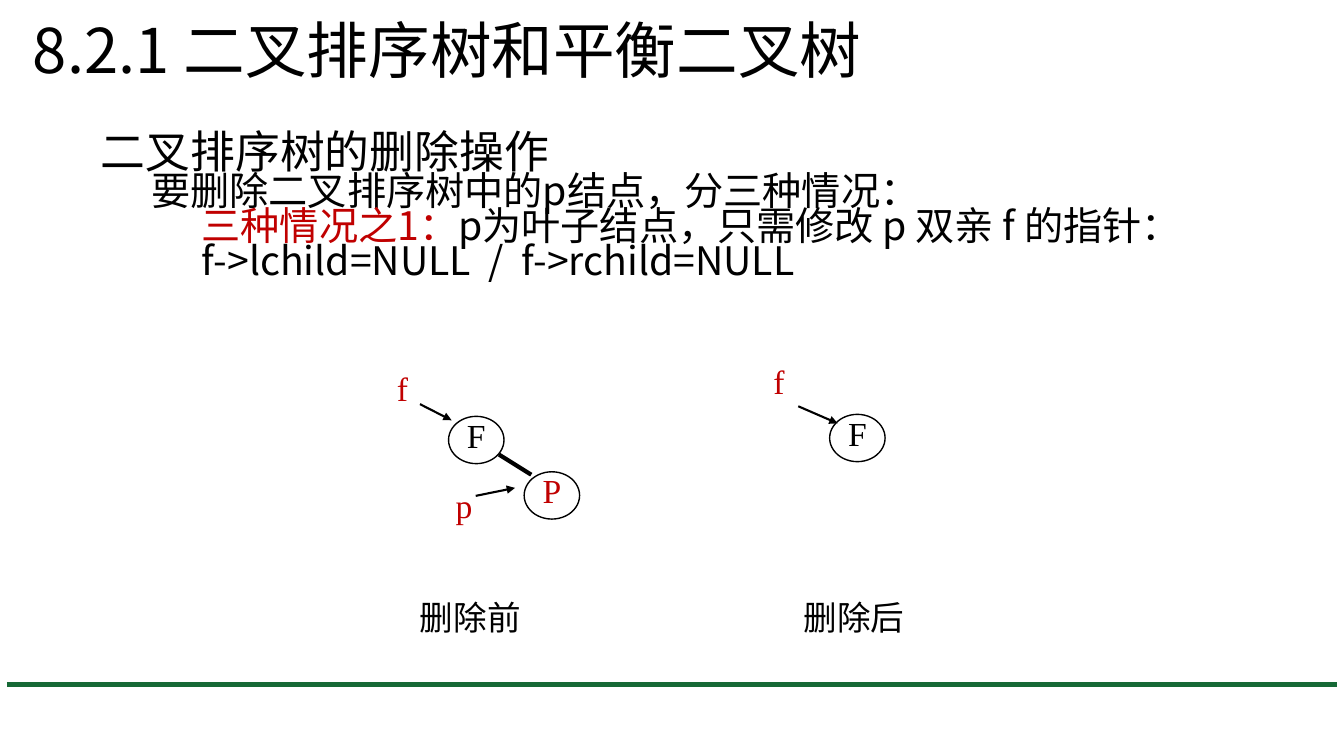
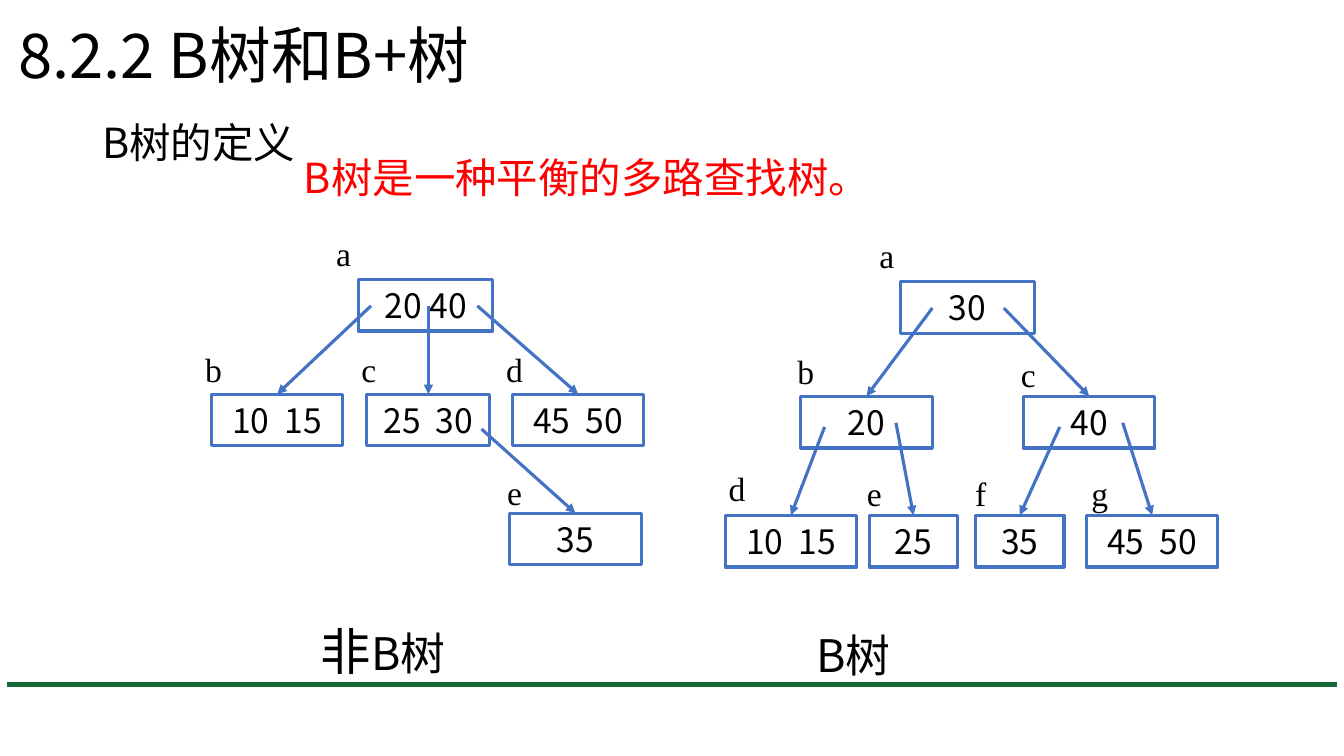
from lxml.etree import SubElement
from pptx import Presentation
from pptx.dml.color import RGBColor
from pptx.enum.shapes import MSO_CONNECTOR, MSO_SHAPE
from pptx.enum.text import MSO_ANCHOR, PP_ALIGN
from pptx.oxml.ns import qn
from pptx.util import Pt

SANS, SERIF = "Noto Sans CJK SC", "Times New Roman"
BLACK, CRIMSON, RED = "000000", "C00000", "FF0000"
BLUE, GREEN = "4472C4", "166936"


def color(value):
    return RGBColor.from_string(value)


def apply_format(target, values):
    for name, value in values.items():
        setattr(target, name, value)


class Deck:
    """Holds the shared style and the current slide."""

    def __init__(self):
        self.presentation = Presentation()
        apply_format(self.presentation, {"slide_width": Pt(960), "slide_height": Pt(540)})
        self.slide = None

    def new_slide(self, title, left, top):
        self.slide = self.presentation.slides.add_slide(self.presentation.slide_layouts[6])
        self.line((5, 489), (955, 489), GREEN, 3.75)
        self.text([[(title, 44, BLACK)]], left, top, 828, 64,
                  spacing=0.9, anchor=MSO_ANCHOR.MIDDLE)

    def fill_text(self, shape, paragraphs, font=SANS, align=PP_ALIGN.LEFT, spacing=1.0,
                  indents=(), **frame_format):
        """Each paragraph is a list of (text, size, color) runs."""
        frame = shape.text_frame
        apply_format(frame, {"word_wrap": True, **frame_format})
        for index, runs in enumerate(paragraphs):
            paragraph = frame.add_paragraph() if index else frame.paragraphs[0]
            apply_format(paragraph, {"alignment": align, "line_spacing": spacing})
            if indents:
                paragraph._p.get_or_add_pPr().set("marL", str(Pt(indents[index])))
            for text, size, text_color in runs:
                run = paragraph.add_run()
                run.text = text
                apply_format(run.font, {"name": font, "size": Pt(size)})
                run.font.color.rgb = color(text_color)
                SubElement(run._r.get_or_add_rPr(), qn("a:ea")).set("typeface", SANS)

    def text(self, paragraphs, left, top, width, height, anchor=MSO_ANCHOR.TOP, **style):
        box = self.slide.shapes.add_textbox(Pt(left), Pt(top), Pt(width), Pt(height))
        self.fill_text(box, paragraphs, vertical_anchor=anchor, **style)

    def label(self, text, left, top, width=31, text_color=BLACK):
        self.text([[(text, 24, text_color)]], left, top, width, 36,
                  font=SERIF, align=PP_ALIGN.CENTER)

    def outline(self, kind, left, top, width, height, line_color, weight):
        shape = self.slide.shapes.add_shape(kind, Pt(left), Pt(top), Pt(width), Pt(height))
        shape.shadow.inherit = False
        shape.fill.background()
        shape.line.color.rgb = color(line_color)
        shape.line.width = Pt(weight)
        return shape

    def circle(self, text, left, top, text_color=BLACK):
        shape = self.outline(MSO_SHAPE.OVAL, left, top, 39.6, 33.8, BLACK, 1)
        self.fill_text(shape, [[(text, 24, text_color)]], SERIF, PP_ALIGN.CENTER,
                       word_wrap=False, vertical_anchor=MSO_ANCHOR.MIDDLE,
                       margin_left=0, margin_right=0, margin_top=0, margin_bottom=Pt(7))

    def key_box(self, keys, left, top, width):
        shape = self.outline(MSO_SHAPE.RECTANGLE, left, top, width, 37, BLUE, 2.25)
        self.fill_text(shape, [[(keys, 24, BLACK)]], align=PP_ALIGN.CENTER,
                       vertical_anchor=MSO_ANCHOR.MIDDLE, margin_top=0, margin_bottom=0)
        return shape

    def line(self, start, end, line_color=BLACK, weight=1.5, arrow=False, target=None):
        connector = self.slide.shapes.add_connector(
            MSO_CONNECTOR.STRAIGHT, *(Pt(value) for value in (*start, *end)))
        if target is not None:
            connector.end_connect(target, 0)
        connector.line.color.rgb = color(line_color)
        connector.line.width = Pt(weight)
        properties = connector._element.spPr
        if arrow:
            SubElement(properties.find(qn("a:ln")), qn("a:tailEnd")).set("type", "triangle")
        SubElement(properties, qn("a:effectLst"))

    def tree(self, top, nodes, links):
        """Draw named key boxes in rows, then arrows from parents to children."""
        row_offsets = (0, 82, 167)
        boxes = {}
        for name, keys, row, left, width, label_x, label_y in nodes:
            box_top = top + row_offsets[row]
            box = self.key_box(keys, left, box_top, width)
            boxes[name] = (box, left, box_top, width)
            self.label(name, left + label_x, box_top + label_y)
        for parent, child, offset_x, offset_y in links:
            _, parent_left, parent_top, _ = boxes[parent]
            box, left, box_top, width = boxes[child]
            self.line((parent_left + offset_x, parent_top + offset_y),
                      (left + width / 2, box_top), BLUE, 2.25, arrow=True, target=box)


def deletion_slide(deck):
    deck.new_slide("8.2.1 二叉排序树和平衡二叉树", 16.5, 6.5)
    deck.text([
        [("二叉排序树的删除操作", 32, BLACK)],
        [("要删除二叉排序树中的p结点，分三种情况：", 28, BLACK)],
        [("三种情况之1：", 28, CRIMSON),
         ("p为叶子结点，只需修改 p 双亲 f 的指针：", 28, BLACK)],
        [("f->lchild=NULL  /  f->rchild=NULL", 28, BLACK)],
    ], 65, 94, 860, 143, spacing=0.75, indents=(0, 36, 72, 72))

    # Before the deletion
    deck.circle("F", 320.4, 297.4)
    deck.circle("P", 374.4, 337, CRIMSON)
    deck.line((356.4, 324.7), (379.5, 339.1), weight=3)
    deck.label("f", 272, 259, text_color=CRIMSON)
    deck.line((300, 288.7), (322.6, 300.2), arrow=True)
    deck.label("p", 316, 343, text_color=CRIMSON)
    deck.line((339.8, 354.2), (367.9, 348.5), arrow=True)

    # After the deletion
    deck.circle("F", 592.6, 296)
    deck.label("f", 541, 254, text_color=CRIMSON)
    deck.line((570.2, 290.2), (598.3, 302.4), arrow=True)

    for caption, left in (("删除前", 285), ("删除后", 559)):
        deck.label(caption, left, 422.6, width=102)


def b_tree_slide(deck):
    deck.new_slide("8.2.2 B树和B+树", 6, 9.5)
    deck.text([
        [("B树的定义", 29.6, BLACK)],
        [("B树是一种平衡的多路查找树。", 29.6, RED)],
    ], 66, 90, 828, 72, spacing=0.7, indents=(0, 144))

    # Left tree: name, keys, row, left, width, label offsets
    deck.tree(199.5, [
        ("a", "20 40", 0, 256, 96, -26, -37),
        ("b", "10  15", 1, 151, 94, -14, -36),
        ("c", "25  30", 1, 262, 88, -14, -36),
        ("d", "45  50", 1, 366, 94, -14, -36),
        ("e", "35", 2, 364, 94, -12, -33),
    ], [("a", "b", 9, 19), ("a", "c", 50, 19), ("a", "d", 85, 19), ("c", "e", 82, 25)])

    # Right tree
    deck.tree(201, [
        ("a", "30", 0, 643, 96, -25, -37),
        ("b", "20", 1, 572, 94, -12, -36),
        ("c", "40", 1, 731, 94, -12, -34),
        ("d", "10  15", 2, 518, 94, -7, -37),
        ("e", "25", 2, 621, 63, -12, -34),
        ("f", "35", 2, 697, 63, -12, -34),
        ("g", "45  50", 2, 776, 94, -6, -34),
    ], [("a", "b", 23, 19), ("a", "c", 74, 19), ("b", "d", 17, 22),
        ("b", "e", 68, 19), ("c", "f", 26, 22), ("c", "g", 71, 19)])

    # Tree captions
    for runs, left in (([("非", 36, BLACK), ("B树", 32, BLACK)], 222),
                       ([("B树", 32, BLACK)], 576)):
        deck.text([runs], left, 430, 150, 60, anchor=MSO_ANCHOR.BOTTOM)


def main():
    deck = Deck()
    deletion_slide(deck)
    b_tree_slide(deck)
    deck.presentation.save("out.pptx")


if __name__ == "__main__":
    main()
